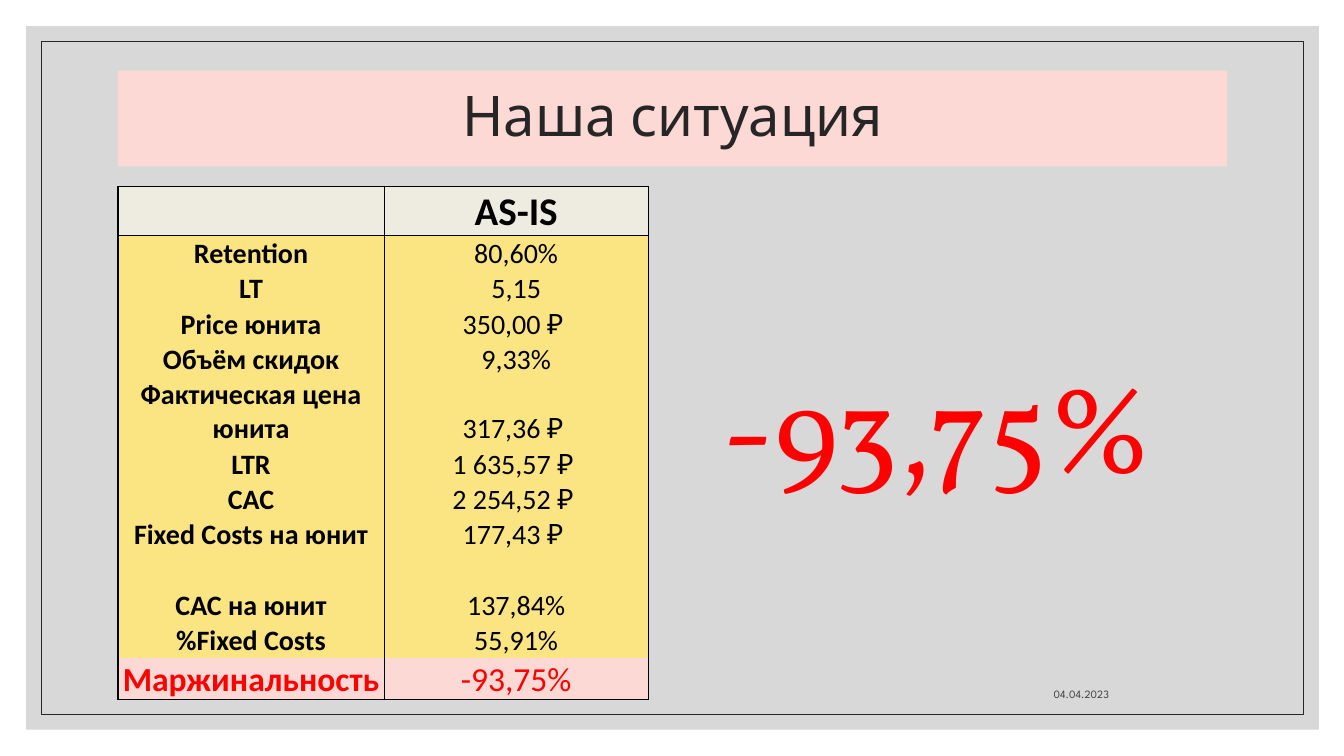
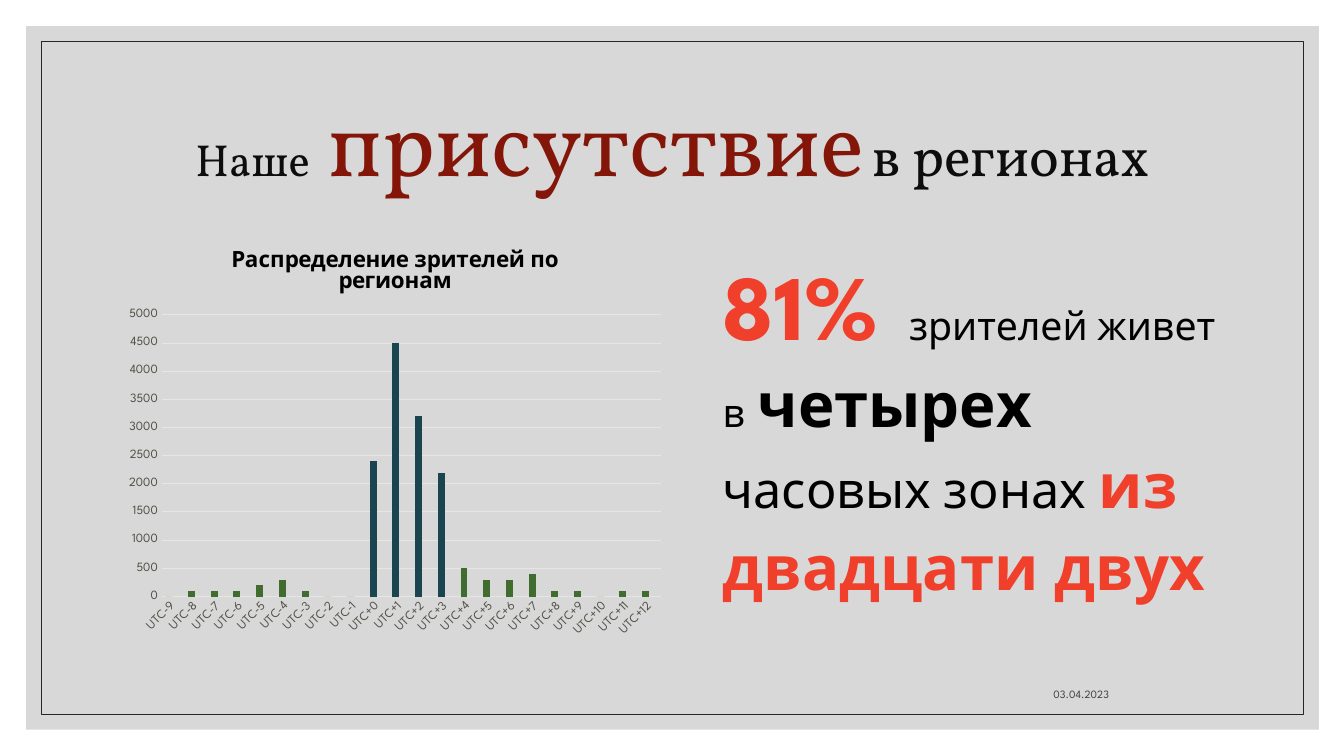
from dataclasses import dataclass
from typing import Optional

import pptx
import pptx.chart.chart
import pptx.chart.data
import pptx.dml.color
import pptx.enum.chart
import pptx.enum.shapes
import pptx.enum.text
import pptx.oxml
import pptx.oxml.ns
import pptx.presentation
import pptx.slide
import pptx.table
import pptx.text.text
import pptx.util

ALIGN = pptx.enum.text.PP_ALIGN
ANCHOR = pptx.enum.text.MSO_ANCHOR


@dataclass(frozen=True)
class Theme:
    sans: str = "League Spartan"
    serif: str = "Vollkorn"
    grid: str = "Calibri"
    page: str = "BFBFBF"
    edge: str = "262626"
    ink: str = "0D0D0D"
    black: str = "000000"
    grey: str = "404040"
    axis: str = "505046"
    rule: str = "E6E6E2"
    pink: str = "FCD9D5"
    cream: str = "EEECE1"
    sand: str = "FBE482"
    red: str = "FF0000"
    coral: str = "F03F2B"
    rust: str = "C6210E"
    wine: str = "841609"
    green: str = "416C2F"
    teal: str = "1A4450"
    gold: str = "D0AB0D"
    sun: str = "FFD520"
    tiny: int = 8
    tick: int = 9
    label: int = 10
    head: int = 16
    space: int = 18
    cell: int = 20
    total: int = 24
    small: int = 28
    mid: int = 32
    body: int = 36
    title: int = 40
    loud: int = 44
    big: int = 66
    huge: int = 88


T = Theme()


@dataclass(frozen=True)
class Box:
    left: float
    top: float
    width: float
    height: float

    def emu(self) -> tuple:
        sizes = (self.left, self.top, self.width, self.height)
        return tuple(pptx.util.Inches(n) for n in sizes)


@dataclass(frozen=True)
class Run:
    text: str
    size: int
    color: str
    bold: bool = False


@dataclass(frozen=True)
class Row:
    name: str
    value: str
    height: float = 0.35
    size: int = T.cell
    color: str = T.black
    fill: str = T.sand
    bold: bool = False


ROWS = [
    Row("", "AS-IS", 0.49, T.small, fill=T.cream, bold=True),
    Row("Retention", "80,60%"),
    Row("LT", "5,15"),
    Row("Price юнита", "350,00 ₽ "),
    Row("Объём скидок", "9,33%"),
    Row("Фактическая цена юнита", "317,36 ₽ ", 0.69),
    Row("LTR", "1 635,57 ₽ "),
    Row("CAC", "2 254,52 ₽ "),
    Row("Fixed Costs на юнит", "177,43 ₽ "),
    Row("", ""),
    Row("CAC на юнит", "137,84%"),
    Row("%Fixed Costs", "55,91%"),
    Row("Маржинальность", "-93,75%", 0.41, T.total, T.red, T.pink),
]
ZONES = [f"UTC{n:+d}" for n in range(-9, 13)]
VIEWS = [0, 100, 100, 100, 200, 300, 100, 0, 0, 2400, 4500,
         3200, 2200, 500, 300, 300, 400, 100, 100, 0, 100, 100]
PEAKS = range(9, 13)

HEAD = [
    Run("Наше", T.mid, T.ink),
    Run(" ", T.big, T.rust),
    Run("присутствие", T.big, T.wine),
    Run(" ", T.small, T.ink),
    Run("в регионах", T.title, T.ink),
]
CLAIM = [
    Run("81% ", T.big, T.coral, True),
    Run(" ", T.space, T.black),
    Run("зрителей живет в", T.small, T.black),
    Run(" ", T.body, T.black),
    Run("четырех", T.loud, T.black, True),
    Run(" часовых зонах ", T.body, T.black),
    Run("из двадцати двух", T.loud, T.coral, True),
]


def rgb(code: str) -> pptx.dml.color.RGBColor:
    return pptx.dml.color.RGBColor.from_string(code)


def style(font: pptx.text.text.Font, face: str, size: int, color: str,
          bold: bool = False) -> None:
    font.name, font.size, font.bold = face, pptx.util.Pt(size), bold
    font.color.rgb = rgb(color)


def write(para: pptx.text.text._Paragraph, runs: list[Run], face: str) -> None:
    for item in runs:
        run = para.add_run()
        run.text = item.text
        style(run.font, face, item.size, item.color, item.bold)


def panel(slide: pptx.slide.Slide, box: Box, fill: Optional[str] = None,
          line: Optional[str] = None) -> None:
    """Draw a rectangle behind the title."""
    shape = slide.shapes.add_shape(
        pptx.enum.shapes.MSO_SHAPE.RECTANGLE, *box.emu())
    shape.shadow.inherit = False
    if fill:
        shape.fill.solid()
        shape.fill.fore_color.rgb = rgb(fill)
        color = shape.element.xpath("p:spPr/a:solidFill/a:srgbClr")[0]
        color.append(pptx.oxml.parse_xml(
            f'<a:alpha {pptx.oxml.ns.nsdecls("a")} val="60000"/>'))
    else:
        shape.fill.background()
    if line:
        shape.line.color.rgb = rgb(line)
        shape.line.width = pptx.util.Pt(0.5)
    else:
        shape.line.fill.background()
    slide.shapes.title.element.addprevious(shape.element)


def text(slide: pptx.slide.Slide, box: Box) -> pptx.text.text.TextFrame:
    frame = slide.shapes.add_textbox(*box.emu()).text_frame
    frame.word_wrap = True
    return frame


def start(deck: pptx.presentation.Presentation, date: str,
          height: float) -> pptx.slide.Slide:
    """Add a slide with its backdrop, placed title and date."""
    slide = deck.slides.add_slide(deck.slide_layouts[5])
    panel(slide, Box(0.26, 0.26, 12.82, 6.98), fill=T.page)
    panel(slide, Box(0.41, 0.41, 12.52, 6.68), line=T.edge)
    title = slide.shapes.title
    title.left, title.top, title.width, title.height = Box(1.17, 0.7, 11, height).emu()
    frame = title.text_frame
    frame.word_wrap = True
    frame.auto_size = pptx.enum.text.MSO_AUTO_SIZE.NONE
    frame.vertical_anchor = ANCHOR.MIDDLE
    frame.paragraphs[0].alignment = ALIGN.CENTER
    frame.paragraphs[0].line_spacing = 0.9
    stamp = text(slide, Box(7.94, 6.6, 3.16, 0.4))
    stamp.vertical_anchor = ANCHOR.BOTTOM
    para = stamp.paragraphs[0]
    para.text, para.alignment = date, ALIGN.RIGHT
    style(para.font, T.sans, T.tiny, T.grey)
    return slide


def border(cell: pptx.table._Cell, sides: str) -> None:
    """Rule the given sides (of L, R, T, B) and clear the rest."""
    for spot, side in enumerate("LRTB"):
        paint = (f'<a:solidFill><a:srgbClr val="{T.black}"/></a:solidFill>'
                 if side in sides else "<a:noFill/>")
        line = pptx.oxml.parse_xml(
            f'<a:ln{side} {pptx.oxml.ns.nsdecls("a")} w="12700">{paint}</a:ln{side}>')
        cell._tc.get_or_add_tcPr().insert(spot, line)


def fill_cell(cell: pptx.table._Cell, words: str, row: Row, bold: bool) -> None:
    cell.fill.solid()
    cell.fill.fore_color.rgb = rgb(row.fill)
    cell.vertical_anchor = ANCHOR.BOTTOM
    cell.margin_left = cell.margin_right = cell.margin_top = pptx.util.Inches(0.01)
    cell.margin_bottom = 0
    para = cell.text_frame.paragraphs[0]
    para.text, para.alignment = words, ALIGN.CENTER
    style(para.font, T.grid, row.size, row.color, bold)


def add_grid(slide: pptx.slide.Slide) -> None:
    table = slide.shapes.add_table(
        len(ROWS), 2, *Box(1.17, 1.85, 5.26, 5.1).emu()).table
    table.first_row = table.horz_banding = False
    for col, width in zip(table.columns, (2.64, 2.62)):
        col.width = pptx.util.Inches(width)
    last = len(ROWS) - 1
    for at, row in enumerate(ROWS):
        table.rows[at].height = pptx.util.Inches(row.height)
        sides = "LR" + "T" * (at <= 1) + "B" * (at in (0, last))
        for col, words in enumerate((row.name, row.value)):
            cell = table.cell(at, col)
            fill_cell(cell, words, row, col == 0 or row.bold)
            border(cell, sides)


def style_axes(chart: pptx.chart.chart.Chart) -> None:
    base, scale = chart.category_axis, chart.value_axis
    for axis in (base, scale):
        axis.major_tick_mark = axis.minor_tick_mark = pptx.enum.chart.XL_TICK_MARK.NONE
        style(axis.tick_labels.font, T.sans, T.tick, T.axis)
    scale.minimum_scale, scale.maximum_scale, scale.major_unit = 0, 5000, 500
    scale.format.line.fill.background()
    for line in (base.format.line, scale.major_gridlines.format.line):
        line.color.rgb = rgb(T.rule)
        line.width = pptx.util.Pt(0.75)
    turn = chart.element.xpath("c:chart/c:plotArea/c:catAx/c:txPr/a:bodyPr")[0]
    turn.set("rot", "-2700000")


def add_bars(slide: pptx.slide.Slide) -> None:
    data = pptx.chart.data.CategoryChartData()
    data.categories = ZONES
    data.add_series("Series 1", VIEWS)
    data.add_series("Series 2", [0] * len(ZONES))
    chart = slide.shapes.add_chart(
        pptx.enum.chart.XL_CHART_TYPE.COLUMN_CLUSTERED,
        *Box(1.17, 2.3, 5.5, 4.1).emu(), data).chart
    style(chart.font, T.sans, T.label, T.black)
    chart.has_legend = False
    para = chart.chart_title.text_frame.paragraphs[0]
    write(para, [Run("Распределение зрителей по регионам", T.head, T.black, True)], T.sans)
    plot = chart.plots[0]
    plot.gap_width, plot.overlap, plot.vary_by_categories = 100, -24, False
    views, rest = plot.series
    views.format.fill.solid()
    views.format.fill.fore_color.rgb = rgb(T.green)
    for at in PEAKS:
        fill = views.points[at].format.fill
        fill.solid()
        fill.fore_color.rgb = rgb(T.teal)
    fade = rest.format.fill
    fade.gradient()
    for stop, color in zip(fade.gradient_stops, (T.gold, T.sun)):
        stop.color.rgb = rgb(color)
    style_axes(chart)


def margin_slide(deck: pptx.presentation.Presentation) -> None:
    slide = start(deck, "04.04.2023", 0.95)
    title = slide.shapes.title
    title.fill.solid()
    title.fill.fore_color.rgb = rgb(T.pink)
    para = title.text_frame.paragraphs[0]
    para.text = "Наша ситуация"
    style(para.font, T.sans, T.title, T.edge)
    para = text(slide, Box(7.07, 3.43, 5.1, 1.8)).paragraphs[0]
    para.text = "-93,75%"
    style(para.font, T.serif, T.huge, T.red)
    add_grid(slide)


def region_slide(deck: pptx.presentation.Presentation) -> None:
    slide = start(deck, "03.04.2023", 1.5)
    write(slide.shapes.title.text_frame.paragraphs[0], HEAD, T.serif)
    para = text(slide, Box(7.07, 2.3, 5.1, 4.1)).paragraphs[0]
    para.line_spacing, para.space_before = 1.1, pptx.util.Pt(9)
    write(para, CLAIM, T.sans)
    add_bars(slide)


def main() -> None:
    deck = pptx.Presentation()
    deck.slide_width, deck.slide_height = pptx.util.Inches(13.33), pptx.util.Inches(7.5)
    margin_slide(deck)
    region_slide(deck)
    deck.save("out.pptx")


if __name__ == "__main__":
    main()
